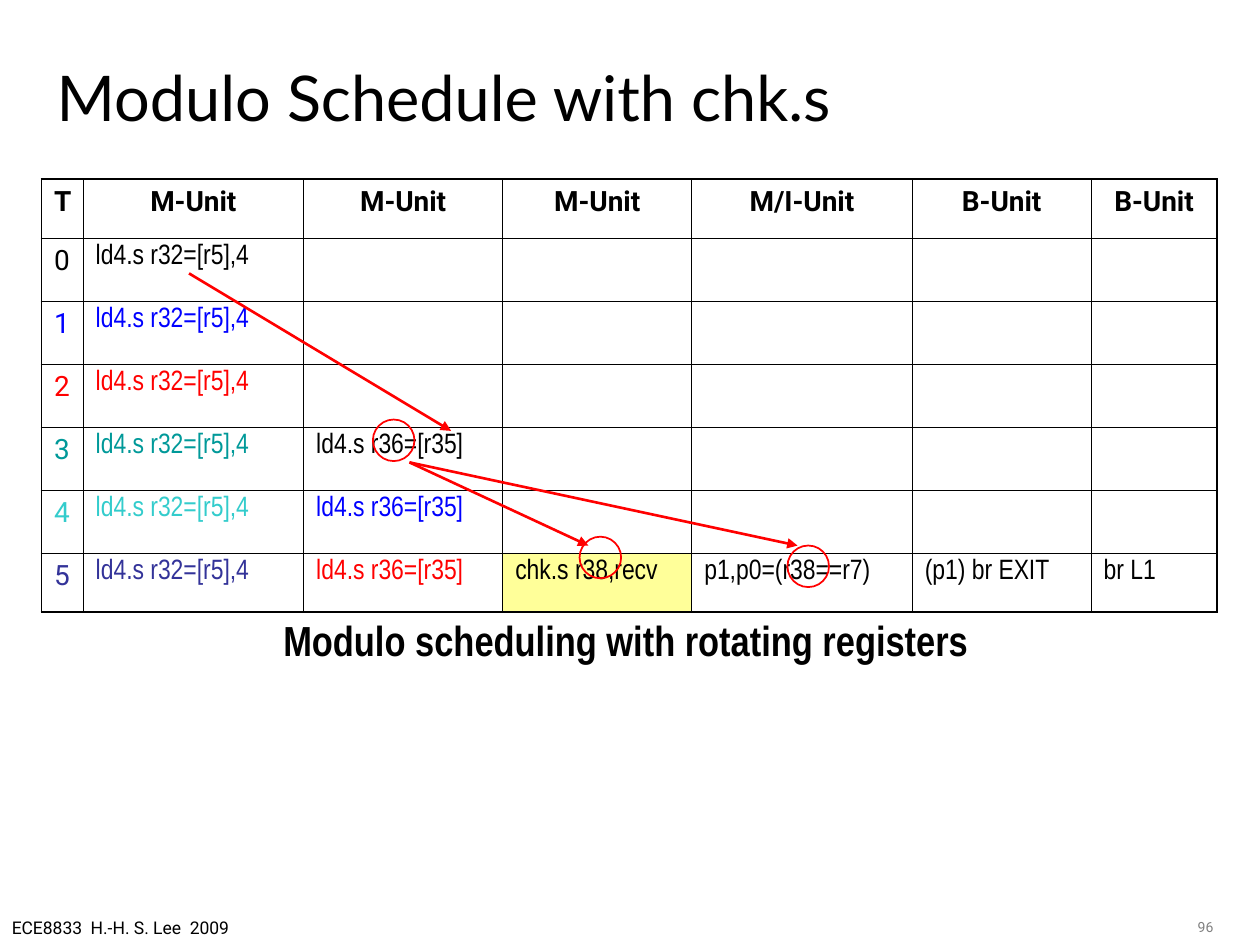
import pptx
import pptx.dml.color
import pptx.enum.shapes
import pptx.enum.text
import pptx.oxml
import pptx.oxml.ns
import pptx.util
from pptx.util import Inches

RGBColor = pptx.dml.color.RGBColor
ALIGN = pptx.enum.text.PP_ALIGN
ANCHOR = pptx.enum.text.MSO_ANCHOR

BLACK = RGBColor(0x00, 0x00, 0x00)
BLUE = RGBColor(0x00, 0x00, 0xFF)
RED = RGBColor(0xFF, 0x00, 0x00)
TEAL = RGBColor(0x00, 0x99, 0x99)
AQUA = RGBColor(0x33, 0xCC, 0xCC)
INDIGO = RGBColor(0x33, 0x33, 0x99)
GRAY = RGBColor(0x80, 0x80, 0x80)
YELLOW = RGBColor(0xFF, 0xFF, 0x99)

SANS = "Roboto"
NARROW = "Arial Narrow"
THIN, THICK = 0.45, 1.08

HEADERS = ["T", "M-Unit", "M-Unit", "M-Unit", "M/I-Unit", "B-Unit", "B-Unit"]
COLUMN_WIDTHS = [0.33, 1.75, 1.58, 1.5, 1.75, 1.42, 1]
ROW_HEIGHTS = [0.47] + [0.5] * 5 + [0.47]
ITERATION_COLORS = [BLACK, BLUE, RED, TEAL, AQUA, INDIGO]
FIRST_LOAD = "ld4.s r32=[r5],4"
SECOND_LOAD = "ld4.s r36=[r35]"
SECOND_LOAD_START = 3
FINAL_OPERATIONS = ["chk.s r38,recv", "p1,p0=(r38==r7)", "(p1) br EXIT", "br L1"]

REGISTER_CIRCLES = [(2.96, 3.33), (4.6, 4.26), (6.25, 4.33)]
DEPENDENCE_ARROWS = [
    ((1.5, 2.17), (3.58, 3.42)),
    ((3.25, 3.67), (4.67, 4.33)),
    ((3.25, 3.67), (6.33, 4.33)),
]


def write_text(frame, text, align=ALIGN.LEFT, color=BLACK, **font_format):
    frame.text = text
    para = frame.paragraphs[0]
    para.alignment = align
    para.font.color.rgb = color
    for name, value in font_format.items():
        setattr(para.font, name, value)


def add_label(slide, bounds, text, wrap=False, **text_format):
    box = slide.shapes.add_textbox(*map(Inches, bounds))
    box.text_frame.word_wrap = wrap
    write_text(box.text_frame, text, **text_format)


def set_title(slide, text):
    title = slide.shapes.title
    bounds = {"left": 0.35, "top": 0.35, "width": 9, "height": 0.83}
    for name, value in bounds.items():
        setattr(title, name, Inches(value))
    title.text_frame.vertical_anchor = ANCHOR.MIDDLE
    write_text(title.text_frame, text, name="Lato", size=pptx.util.Pt(36))


def set_borders(cell, widths):
    """Draw black cell edges; widths are points for left, right, top, bottom."""
    properties = cell._tc.get_or_add_tcPr()
    for index, (side, width) in enumerate(zip("LRTB", widths)):
        properties.insert(index, pptx.oxml.parse_xml(
            f'<a:ln{side} {pptx.oxml.ns.nsdecls("a")} w="{pptx.util.Pt(width)}">'
            f'<a:solidFill><a:srgbClr val="{BLACK}"/></a:solidFill></a:ln{side}>'))


def schedule_cells():
    """Map (row, column) to the text and its format."""
    size = pptx.util.Pt(16)
    cells = {}
    for column, header in enumerate(HEADERS):
        cells[0, column] = header, dict(
            align=ALIGN.CENTER, name=SANS, size=size, bold=True)
    for time, color in enumerate(ITERATION_COLORS):
        row = time + 1
        cells[row, 0] = str(time), dict(color=color, name=SANS, size=size)
        cells[row, 1] = FIRST_LOAD, dict(color=color, name=NARROW, size=size)
        if time >= SECOND_LOAD_START:
            load_color = ITERATION_COLORS[time - SECOND_LOAD_START]
            cells[row, 2] = SECOND_LOAD, dict(
                color=load_color, name=NARROW, size=size)
    for column, operation in enumerate(FINAL_OPERATIONS, start=3):
        cells[len(ITERATION_COLORS), column] = operation, dict(
            name=NARROW, size=size)
    return cells


def add_schedule(slide):
    last_row, last_column = len(ROW_HEIGHTS) - 1, len(COLUMN_WIDTHS) - 1
    table = slide.shapes.add_table(
        last_row + 1, last_column + 1, Inches(0.33), Inches(1.42),
        Inches(sum(COLUMN_WIDTHS)), Inches(sum(ROW_HEIGHTS))).table
    table.first_row = table.horz_banding = False
    for column, width in zip(table.columns, COLUMN_WIDTHS):
        column.width = Inches(width)
    for row, height in zip(table.rows, ROW_HEIGHTS):
        row.height = Inches(height)

    cells = schedule_cells()
    for row in range(last_row + 1):
        for column in range(last_column + 1):
            cell = table.cell(row, column)
            cell.fill.background()
            outer_edges = (column == 0, column == last_column,
                           row == 0, row == last_row)
            set_borders(cell, [THICK if outer else THIN for outer in outer_edges])
            if (row, column) in cells:
                text, text_format = cells[row, column]
                write_text(cell.text_frame, text, **text_format)
    check_cell = table.cell(last_row, 3)
    check_cell.fill.solid()
    check_cell.fill.fore_color.rgb = YELLOW


def add_circle(slide, left, top):
    diameter = Inches(0.33)
    circle = slide.shapes.add_shape(
        pptx.enum.shapes.MSO_SHAPE.OVAL, Inches(left), Inches(top),
        diameter, diameter)
    circle.shadow.inherit = False
    circle.fill.background()
    circle.line.color.rgb = RED
    circle.line.width = pptx.util.Pt(1)


def add_arrow(slide, start, end):
    arrow = slide.shapes.add_connector(
        pptx.enum.shapes.MSO_CONNECTOR.STRAIGHT, *map(Inches, start + end))
    arrow.line.color.rgb = RED
    arrow.line.width = pptx.util.Pt(1.5)
    namespace = pptx.oxml.ns.nsdecls("a")
    arrow.line._get_or_add_ln().append(
        pptx.oxml.parse_xml(f'<a:tailEnd {namespace} type="triangle"/>'))
    arrow._element.spPr.append(pptx.oxml.parse_xml(f"<a:effectLst {namespace}/>"))


def main():
    deck = pptx.Presentation()
    deck.slide_width, deck.slide_height = Inches(10), Inches(7.5)
    slide = deck.slides.add_slide(deck.slide_layouts.get_by_name("Title Only"))

    set_title(slide, "Modulo Schedule with chk.s")
    add_label(slide, (-0.02, 7.23, 1.95, 0.27), "ECE8833  H.-H. S. Lee  2009",
              align=ALIGN.CENTER, name=SANS, size=pptx.util.Pt(10))
    add_label(slide, (2.15, 4.83, 5.64, 0.5),
              "Modulo scheduling with rotating registers",
              name=NARROW, size=pptx.util.Pt(24), bold=True)
    add_schedule(slide)
    for left, top in REGISTER_CIRCLES:
        add_circle(slide, left, top)
    for start, end in DEPENDENCE_ARROWS:
        add_arrow(slide, start, end)
    add_label(slide, (9.07, 7.24, 0.66, 0.17), "96", wrap=True,
              align=ALIGN.RIGHT, color=GRAY, name=SANS, size=pptx.util.Pt(8))

    deck.save("out.pptx")


if __name__ == "__main__":
    main()
